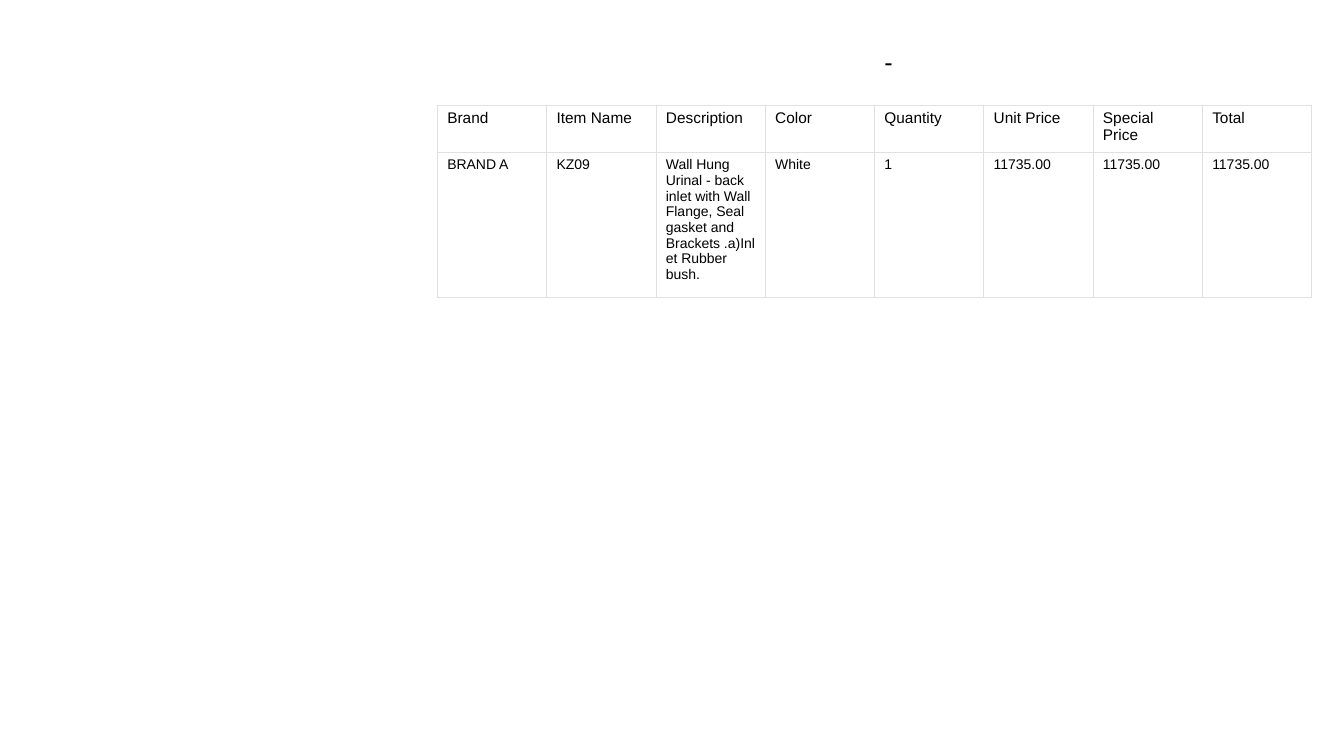
from lxml.etree import SubElement
from pptx import Presentation
from pptx.dml.color import RGBColor
from pptx.enum.text import MSO_ANCHOR as Anchor
from pptx.oxml.ns import qn
from pptx.util import Inches, Pt

HEADINGS = ["Brand", "Item Name", "Description", "Color", "Quantity",
            "Unit Price", "Special Price", "Total"]
ITEM = ["BRAND A", "KZ09",
        "Wall Hung Urinal - back inlet with Wall Flange, Seal gasket and "
        "Brackets .a)Inlet Rubber bush.",
        "White", "1", "11735.00", "11735.00", "11735.00"]
ROWS = [(HEADINGS, 0.47, 11), (ITEM, 1.44, 10)]


def color(code):
    """Turn a hex string into a colour."""
    return RGBColor.from_string(code)


def write(frame, text, size, ink="000000", font="Arial"):
    """Put one formatted line of text into a text frame."""
    frame.word_wrap = True
    span = frame.paragraphs[0].add_run()
    span.text = text
    span.font.name = font
    span.font.size = Pt(size)
    span.font.color.rgb = color(ink)


def outline(cell, ink="E0E0E0", width=0.45):
    """Draw a thin line on all four sides of a cell."""
    props = cell._tc.get_or_add_tcPr()
    for side in ("lnL", "lnR", "lnT", "lnB"):
        line = SubElement(props, qn(f"a:{side}"), w=str(int(Pt(width))))
        fill = SubElement(line, qn("a:solidFill"))
        SubElement(fill, qn("a:srgbClr"), val=ink)


def add_title(page, left, top, width, height):
    """Place the title above the table."""
    box = page.shapes.add_textbox(Inches(left), Inches(top), Inches(width), Inches(height))
    box.text_frame.vertical_anchor = Anchor.MIDDLE
    write(box.text_frame, "-", 18)


def add_price_table(page, left, top, width):
    """Place the price table with equal columns."""
    height = sum(row_height for _, row_height, _ in ROWS)
    table = page.shapes.add_table(len(ROWS), len(HEADINGS), Inches(left), Inches(top),
                                  Inches(width), Inches(height)).table
    table.first_row = table.horz_banding = False
    for row, (texts, row_height, size) in zip(table.rows, ROWS):
        row.height = Inches(row_height)
        for cell, text in zip(row.cells, texts):
            write(cell.text_frame, text, size)
            outline(cell)
            cell.fill.background()


def main():
    """Build and save the deck."""
    deck = Presentation()
    deck.slide_width, deck.slide_height = Inches(13.34), Inches(7.5)
    page = deck.slides.add_slide(deck.slide_layouts[6])
    add_title(page, 8.68, 0.17, 1.74, 0.87)
    add_price_table(page, 4.34, 1.04, 8.68)
    deck.save("out.pptx")


if __name__ == "__main__":
    main()
